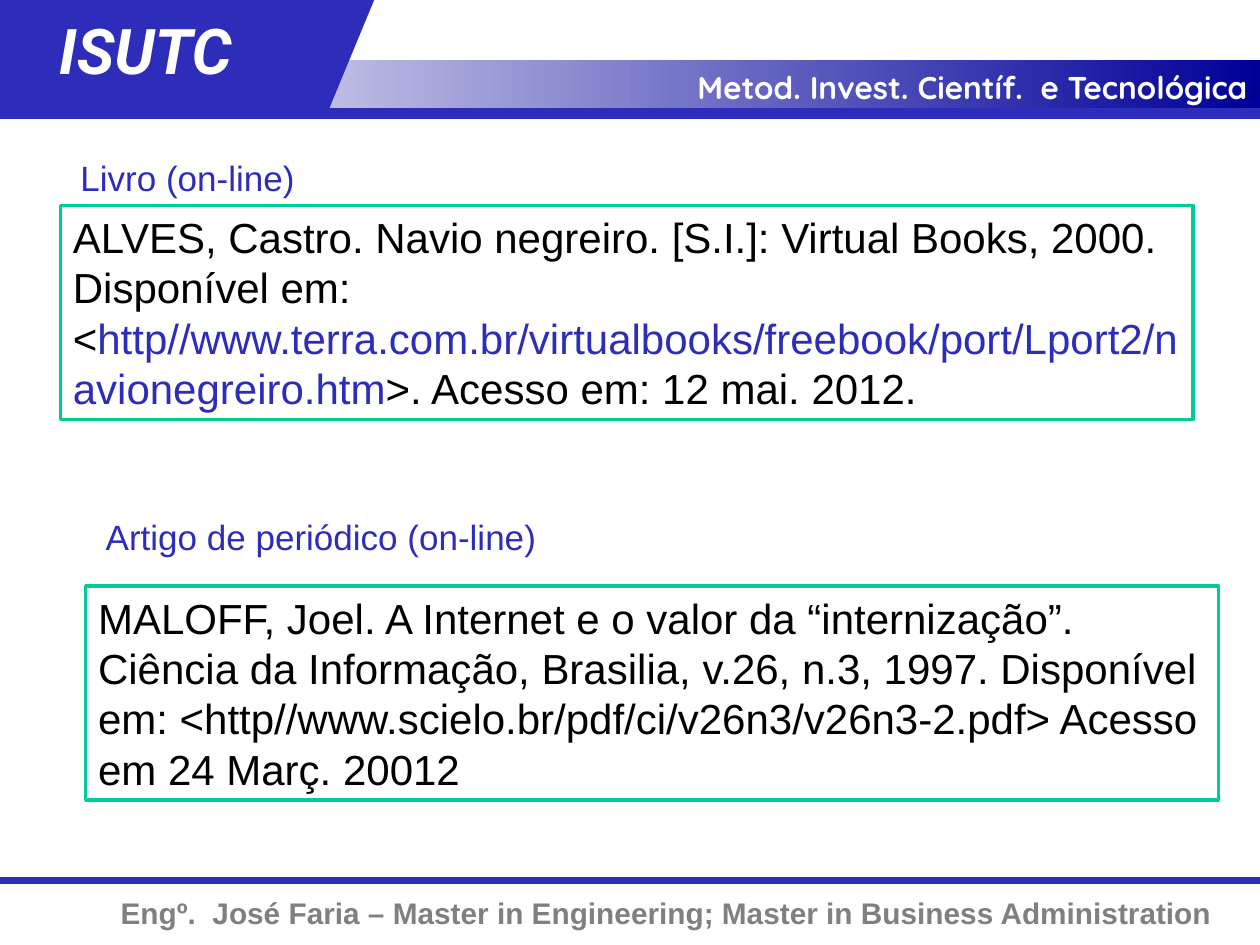
from lxml.etree import SubElement
from pptx import Presentation
from pptx.dml.color import RGBColor
from pptx.enum.shapes import MSO_CONNECTOR as Connector, MSO_SHAPE as Shape
from pptx.enum.text import MSO_ANCHOR as Anchor, PP_ALIGN as Align
from pptx.oxml.ns import qn
from pptx.util import Inches, Pt

BLUE = RGBColor(0x2D, 0x2D, 0xB9)
NAVY = RGBColor(0x00, 0x00, 0x99)
GREEN = RGBColor(0x00, 0xCC, 0x99)
GRAY = RGBColor(0x80, 0x80, 0x80)
BLACK = RGBColor(0, 0, 0)
WHITE = RGBColor(0xFF, 0xFF, 0xFF)


class SlideBuilder:
    """Draws the elements of the lecture slide in one shared style."""

    font = "Arial"

    def __init__(self, page):
        self.page = page

    def rule(self, top, weight):
        line = self.page.shapes.add_connector(
            Connector.STRAIGHT, 0, Inches(top), Inches(10), Inches(top))
        line.line.color.rgb = BLUE
        line.line.width = Pt(weight)
        SubElement(line._element.spPr, qn("a:effectLst"))

    def block(self, kind, left, top, width, height, color=BLUE):
        shape = self.page.shapes.add_shape(
            kind, Inches(left), Inches(top), Inches(width), Inches(height))
        shape.shadow.inherit = False
        shape.fill.solid()
        shape.fill.fore_color.rgb = color
        shape.line.fill.background()
        return shape

    def fade(self, left, top, width, height, colors):
        fill = self.block(Shape.RECTANGLE, left, top, width, height).fill
        fill.gradient()
        fill.gradient_angle = 0
        for stop, position, color in zip(fill.gradient_stops, (0, 1), colors):
            stop.position = position
            stop.color.rgb = color

    def set_text(self, box, spans, size, align=Align.LEFT, font=None, bold=False, italic=False):
        frame = box.text_frame
        frame.word_wrap = True
        frame.vertical_anchor = Anchor.TOP
        para = frame.paragraphs[0]
        para.alignment = align
        para.font.name = font or self.font
        para.font.size = Pt(size)
        para.font.bold = bold
        para.font.italic = italic
        for text, color in spans:
            span = para.add_run()
            span.text = text
            span.font.color.rgb = color

    def label(self, left, top, width, height, text, size, color, **style):
        box = self.page.shapes.add_textbox(
            Inches(left), Inches(top), Inches(width), Inches(height))
        self.set_text(box, [(text, color)], size, **style)

    def heading(self, left, top, text):
        self.label(left, top, 8.45, 0.44, text, 20, BLUE)

    def reference(self, left, top, *spans):
        box = self.block(Shape.RECTANGLE, left, top, 8.99, 1.7, WHITE)
        box.line.color.rgb = GREEN
        box.line.width = Pt(2)
        self.set_text(box, spans, 24)


def main():
    deck = Presentation()
    deck.slide_width, deck.slide_height = Inches(10), Inches(7.5)
    slide = SlideBuilder(deck.slides.add_slide(deck.slide_layouts[6]))

    slide.rule(6.99, 4)
    slide.label(0, 7.05, 9.72, 0.39,
                "Engº.  José Faria – Master in Engineering; Master in Business Administration",
                17, GRAY, align=Align.RIGHT, bold=True)

    slide.fade(0, 0.48, 10, 0.39, (WHITE, NAVY))
    slide.block(Shape.FLOWCHART_DATA, 1.17, 0, 1.8, 0.87)
    slide.block(Shape.RECTANGLE, 0, 0, 1.59, 0.87)
    slide.label(4.36, 0.49, 5.64, 0.4, "Metod. Invest. Científ.  e Tecnológica",
                18, WHITE, align=Align.RIGHT, font="Quicksand", bold=True)
    slide.label(0.37, 0.04, 1.93, 0.7, "ISUTC", 36, WHITE,
                font="Roboto", bold=True, italic=True)
    slide.rule(0.9, 6)

    slide.heading(0.54, 1.19, "Livro (on-line)")
    slide.reference(
        0.48, 1.63,
        ("ALVES, Castro. Navio negreiro. [S.I.]: Virtual Books, 2000. Disponível em: <", BLACK),
        ("http//www.terra.com.br/virtualbooks/freebook/port/Lport2/navionegreiro.htm", BLUE),
        (">. Acesso em: 12 mai. 2012.", BLACK))

    slide.heading(0.74, 4.04, "Artigo de periódico (on-line)")
    slide.reference(
        0.68, 4.65,
        ("MALOFF, Joel. A Internet e o valor da “internização”. Ciência da Informação, "
         "Brasilia, v.26, n.3, 1997. Disponível em: "
         "<http//www.scielo.br/pdf/ci/v26n3/v26n3-2.pdf> Acesso em 24 Març. 20012", BLACK))

    deck.save("out.pptx")


if __name__ == "__main__":
    main()
